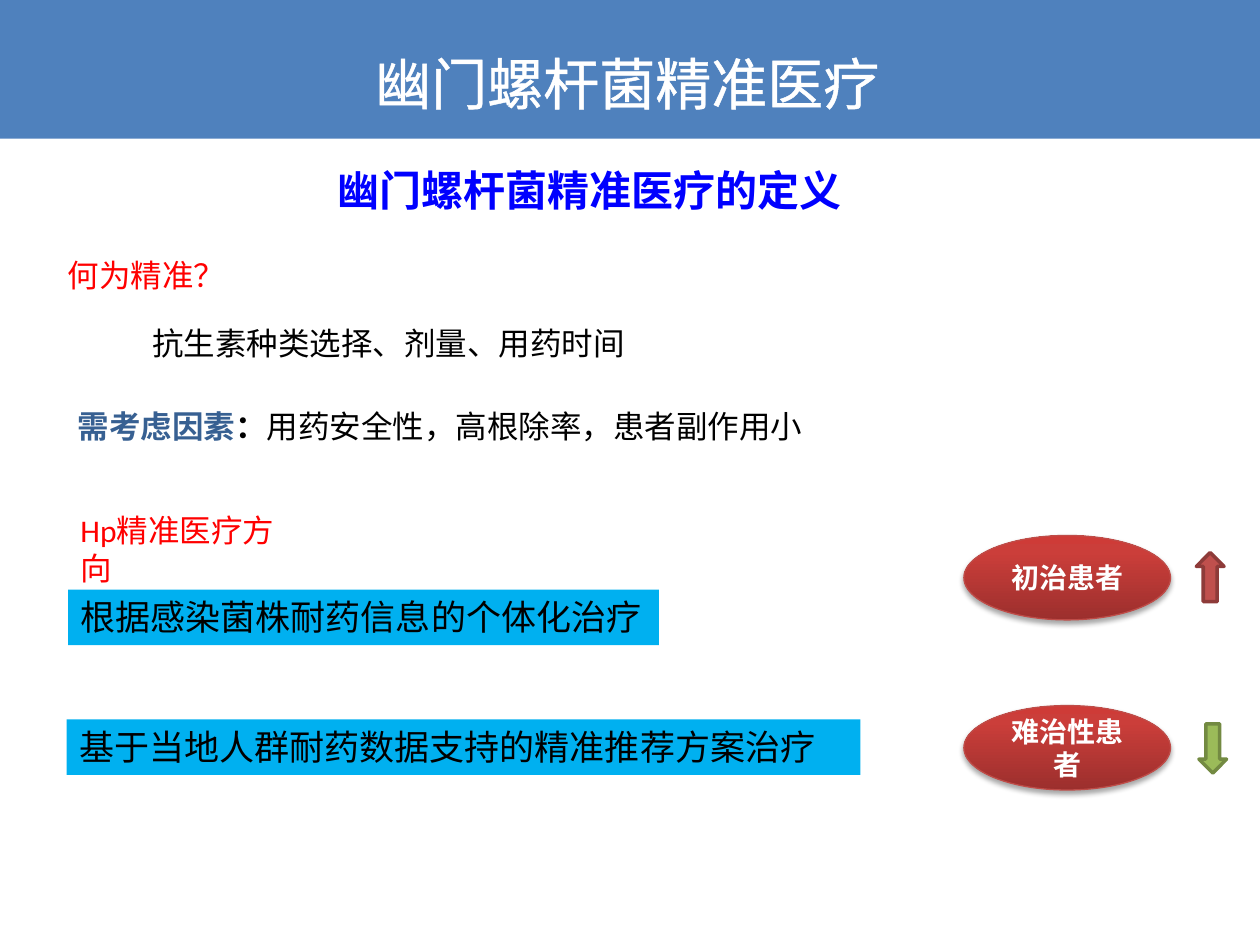
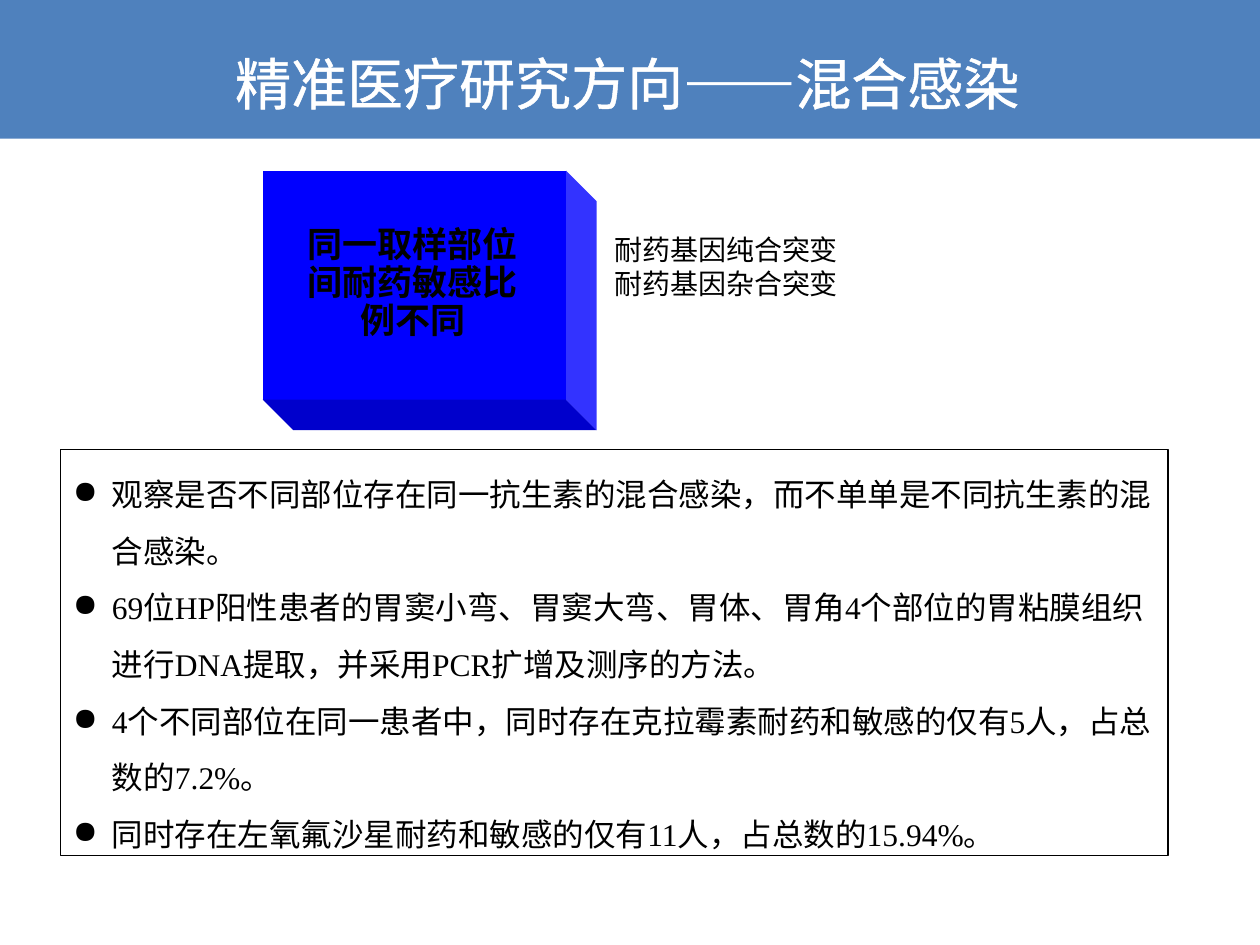
import copy

import pptx
import pptx.dml.color
import pptx.enum.shapes
import pptx.enum.text
import pptx.oxml
import pptx.oxml.ns
import pptx.util

Inches = pptx.util.Inches
Pt = pptx.util.Pt
RGBColor = pptx.dml.color.RGBColor
Shape = pptx.enum.shapes.MSO_SHAPE
Align = pptx.enum.text.PP_ALIGN
Anchor = pptx.enum.text.MSO_ANCHOR
qn = pptx.oxml.ns.qn

BAND_BLUE = RGBColor(0x4F, 0x81, 0xBD)
WHITE = RGBColor(0xFF, 0xFF, 0xFF)
BLACK = RGBColor(0, 0, 0)
BLUE = RGBColor(0, 0, 0xFF)
RED = RGBColor(0xFF, 0, 0)
FACTOR_BLUE = RGBColor(0x37, 0x60, 0x92)
SKY = RGBColor(0, 0xB0, 0xF0)
OVAL_LINE = RGBColor(0xBF, 0x4C, 0x48)
OVAL_STOPS = [
    (0, RGBColor(0x9C, 0x2F, 0x2D)),
    (0.8, RGBColor(0xCB, 0x3E, 0x3A)),
    (1, RGBColor(0xCE, 0x3B, 0x37)),
]
UP_RED = RGBColor(0xC0, 0x50, 0x4D)
UP_RED_LINE = RGBColor(0x8E, 0x3B, 0x39)
DOWN_GREEN = RGBColor(0x9B, 0xBB, 0x59)
DOWN_GREEN_LINE = RGBColor(0x73, 0x8A, 0x42)

SANS = "Noto Sans CJK SC"
SERIF = "Times New Roman"
BODY = "Calibri"
DRAWING_NS = pptx.oxml.ns.nsdecls("a")


def apply_format(target, values):
    for attribute, value in values.items():
        setattr(target, attribute, value)


def font_format(name, size, color=BLACK, bold=False):
    return {"name": name, "size": Pt(size), "bold": bold, "color": color}


class Deck:
    def __init__(self):
        self.presentation = pptx.Presentation()
        self.presentation.slide_width = Inches(10)
        self.presentation.slide_height = Inches(7.5)
        self.slide = None

    def start_slide(self, title):
        self.slide = self.presentation.slides.add_slide(self.presentation.slide_layouts[6])
        self.shape(Shape.RECTANGLE, (0, 0, 10, 1.1), BAND_BLUE)
        heading = self.text(
            (0.39, 0.2, 9.18, 0.75), [title], font_format(SANS, 32, WHITE),
            {"alignment": Align.CENTER, "line_spacing": 1.3},
            {"vertical_anchor": Anchor.MIDDLE},
        )
        outline = pptx.oxml.parse_xml(
            f'<a:ln {DRAWING_NS} w="{Pt(1.45)}"><a:solidFill>'
            f'<a:srgbClr val="{WHITE}"/></a:solidFill></a:ln>'
        )
        run = heading.text_frame.paragraphs[0].runs[0]
        run._r.get_or_add_rPr().insert(0, outline)

    def shape(self, preset, box, fill=None, line=None, line_width=0.75, rotation=0):
        shape = self.slide.shapes.add_shape(preset, *map(Inches, box))
        shape.shadow.inherit = False
        shape.rotation = rotation
        if fill is None:
            shape.fill.background()
        else:
            shape.fill.solid()
            shape.fill.fore_color.rgb = fill
        if line is None:
            shape.line.fill.background()
        else:
            shape.line.color.rgb = line
            shape.line.width = Pt(line_width)
        return shape

    def fill_text(self, shape, paragraphs, font, paragraph_format=None, frame_format=None, bullet=None):
        frame = shape.text_frame
        apply_format(frame, {"word_wrap": True, "vertical_anchor": Anchor.TOP} | (frame_format or {}))
        for index, content in enumerate(paragraphs):
            paragraph = frame.add_paragraph() if index else frame.paragraphs[0]
            apply_format(paragraph, {"alignment": Align.LEFT} | (paragraph_format or {}))
            if bullet:
                self.bullet(paragraph, bullet)
            runs = [(content, {})] if isinstance(content, str) else content
            for words, changes in runs:
                run = paragraph.add_run()
                run.text = words
                values = font | changes
                run.font.color.rgb = values.pop("color")
                apply_format(run.font, values)

    def bullet(self, paragraph, symbol, indent=0.31):
        properties = paragraph._p.get_or_add_pPr()
        properties.set("marL", str(Inches(indent)))
        properties.set("indent", str(-Inches(indent)))
        properties.append(pptx.oxml.parse_xml(f'<a:buChar {DRAWING_NS} char="{symbol}"/>'))

    def text(self, box, paragraphs, font, paragraph_format=None, frame_format=None):
        shape = self.slide.shapes.add_textbox(*map(Inches, box))
        self.fill_text(shape, paragraphs, font, paragraph_format, frame_format)
        return shape

    def label(self, box, words, font):
        return self.text(box, [words], font, frame_format={"word_wrap": False})

    def highlight(self, box, words, wrap):
        strip = self.shape(Shape.RECTANGLE, box, SKY)
        self.fill_text(strip, [words], font_format(SERIF, 20), frame_format={"word_wrap": wrap})

    def patient_group(self, top, words):
        oval = self.shape(Shape.OVAL, (7.65, top, 1.64, 0.67), line=OVAL_LINE)
        oval.fill.gradient()
        oval.fill.gradient_angle = 90
        properties = oval._element.spPr
        stops = properties.find(".//" + qn("a:gsLst"))
        stops.append(copy.deepcopy(stops[-1]))
        for stop, (position, color) in zip(oval.fill.gradient_stops, OVAL_STOPS):
            stop.color.rgb = color
            stop.position = position
        properties.find(qn("a:effectLst")).append(pptx.oxml.parse_xml(
            f'<a:outerShdw {DRAWING_NS} blurRad="{Pt(3.1)}" dist="{Pt(1.8)}" dir="5400000" '
            'rotWithShape="0"><a:srgbClr val="000000"><a:alpha val="35000"/>'
            '</a:srgbClr></a:outerShdw>'
        ))
        self.fill_text(
            oval, [words], font_format(SANS, 16, WHITE, True),
            {"alignment": Align.CENTER}, {"vertical_anchor": Anchor.MIDDLE},
        )

    def trend(self, left, top, rotation, fill, line):
        self.shape(Shape.RIGHT_ARROW, (left, top, 0.39, 0.22), fill, line, 2, rotation)


def build_definition(deck):
    deck.start_slide("幽门螺杆菌精准医疗")
    deck.label((2.58, 1.26, 4.26, 0.5), "幽门螺杆菌精准医疗的定义", font_format(SANS, 24, BLUE, True))
    deck.highlight((0.54, 4.68, 4.69, 0.44), "根据感染菌株耐药信息的个体化治疗", False)
    deck.highlight((0.53, 5.71, 6.3, 0.44), "基于当地人群耐药数据支持的精准推荐方案治疗", True)

    question = font_format(BODY, 18, RED)
    answer = font_format(BODY, 18)
    factors = [
        ("需考虑因素", {"color": FACTOR_BLUE, "bold": True}),
        ("：", {"bold": True}),
        ("用药安全性，高根除率，患者副作用小", {}),
    ]
    deck.label((0.52, 3.18, 6.01, 0.4), factors, answer)
    deck.label((0.44, 1.98, 1.46, 0.4), "何为精准？", question)
    deck.label((1.11, 2.52, 3.99, 0.4), "抗生素种类选择、剂量、用药时间", answer)
    deck.text((0.54, 4.01, 1.9, 0.4), ["Hp精准医疗方向"], question)

    deck.patient_group(4.25, "初治患者")
    deck.patient_group(5.6, "难治性患者")
    deck.trend(9.41, 4.47, 270, UP_RED, UP_RED_LINE)
    deck.trend(9.43, 5.83, 90, DOWN_GREEN, DOWN_GREEN_LINE)


def build_mixed_infection(deck):
    deck.start_slide("精准医疗研究方向——混合感染")
    findings = deck.shape(Shape.RECTANGLE, (0.48, 3.57, 8.79, 3.22), line=BLACK)
    deck.fill_text(
        findings,
        [
            "观察是否不同部位存在同一抗生素的混合感染，而不单单是不同抗生素的混合感染。",
            "69位HP阳性患者的胃窦小弯、胃窦大弯、胃体、胃角4个部位的胃粘膜组织进行DNA提取，并采用PCR扩增及测序的方法。",
            "4个不同部位在同一患者中，同时存在克拉霉素耐药和敏感的仅有5人，占总数的7.2%。",
            "同时存在左氧氟沙星耐药和敏感的仅有11人，占总数的15.94%。",
        ],
        font_format(SERIF, 18), {"line_spacing": 1.5}, bullet="●",
    )
    sampling_cube = deck.shape(Shape.CUBE, (2.38, 1.06, 2.06, 2.65), BLUE, rotation=90)
    sampling_cube.adjustments[0] = 0.118
    margins = {
        "margin_left": Inches(0.02), "margin_right": Inches(0.02),
        "margin_top": Inches(0.01), "margin_bottom": Inches(0.01),
    }
    deck.text(
        (2.29, 1.78, 1.97, 0.95), ["同一取样部位间耐药敏感比例不同"],
        font_format(SERIF, 20, bold=True),
        {"alignment": Align.CENTER, "line_spacing": 0.9},
        margins | {"vertical_anchor": Anchor.MIDDLE},
    )
    deck.text(
        (4.78, 1.8, 2.01, 0.64), ["耐药基因纯合突变", "耐药基因杂合突变"],
        font_format(BODY, 16), frame_format={"word_wrap": False},
    )


def main():
    deck = Deck()
    build_definition(deck)
    build_mixed_infection(deck)
    deck.presentation.save("out.pptx")


if __name__ == "__main__":
    main()
